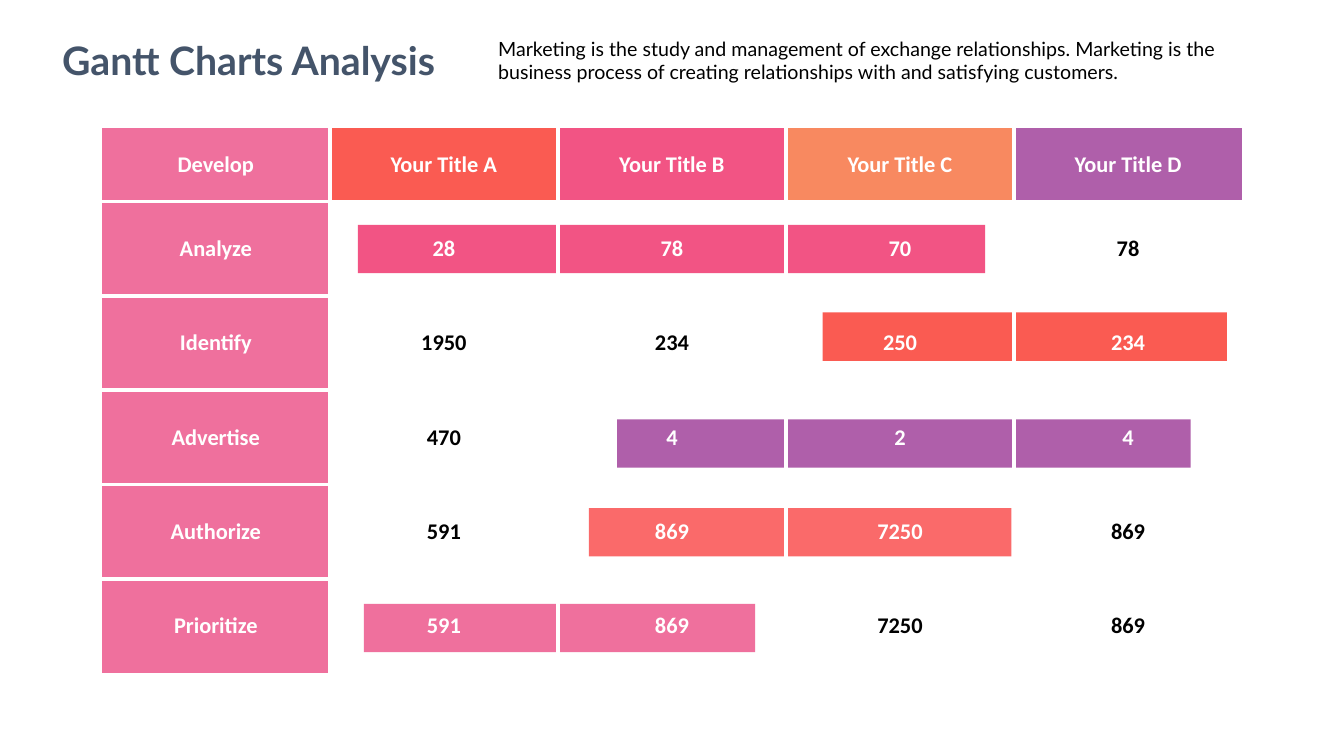
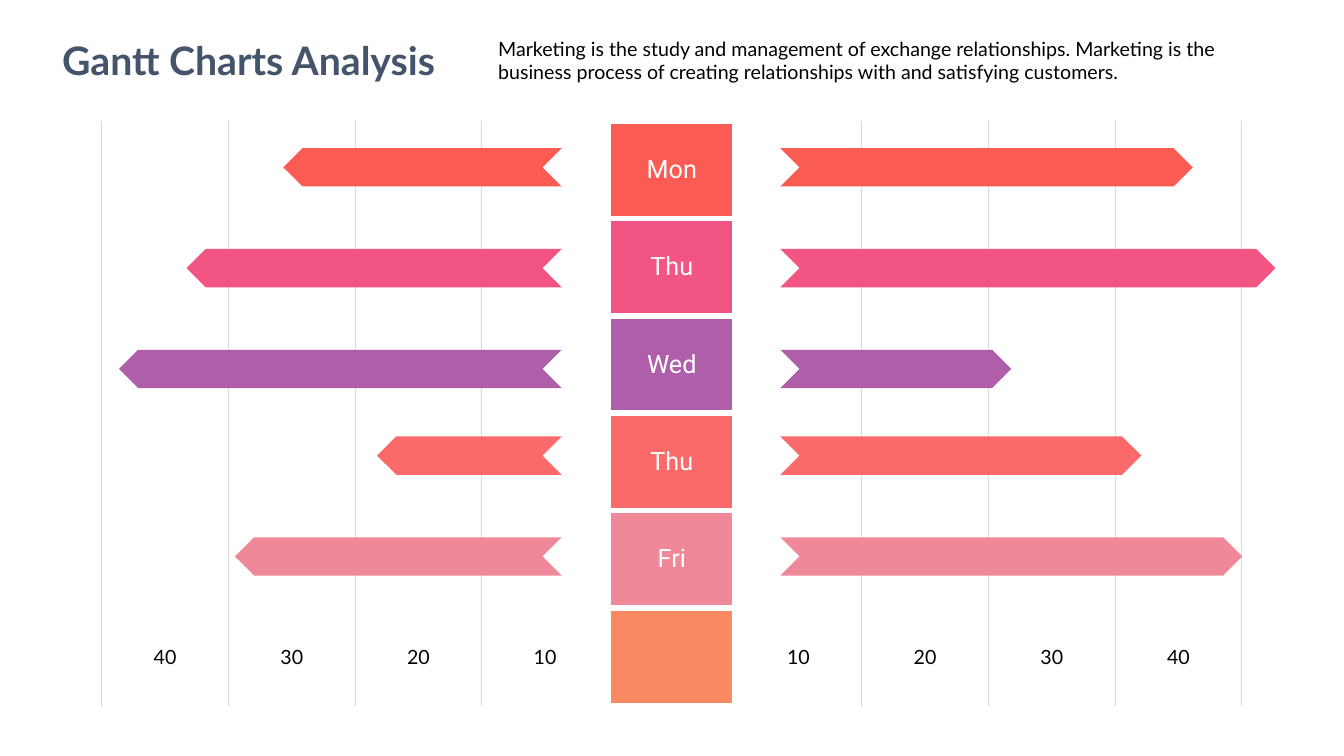
from dataclasses import dataclass

from lxml.etree import SubElement
from pptx import Presentation
from pptx.dml.color import RGBColor
from pptx.enum.shapes import MSO_SHAPE
from pptx.enum.text import MSO_ANCHOR, MSO_AUTO_SIZE, PP_ALIGN
from pptx.oxml.ns import qn
from pptx.util import Inches, Pt


@dataclass(frozen=True)
class Theme:
    navy: str = "44546A"
    black: str = "000000"
    white: str = "FFFFFF"
    gray: str = "D9D9D9"
    red: str = "FA5B52"
    magenta: str = "F25484"
    purple: str = "AF5FAA"
    coral: str = "FA6A6A"
    pink: str = "EF709D"
    rose: str = "EF8999"
    orange: str = "F88960"
    heading_font: str = "Lato"
    table_font: str = "Calibri"
    day_font: str = "Roboto"
    title_size: int = 28
    day_size: int = 18
    table_size: int = 16
    text_size: int = 14
    plain_table: str = "{2D5ABB26-0587-4C30-8999-92F81FD0307C}"


THEME = Theme()
TITLE = "Gantt Charts Analysis"
INTRO = (
    "Marketing is the study and management of exchange relationships. Marketing is the "
    "business process of creating relationships with and satisfying customers."
)


class Builder:
    def __init__(self, deck):
        self.deck = deck
        self.page = None

    def new_page(self):
        self.page = self.deck.slides.add_slide(self.deck.slide_layouts[1])
        title = self.fill_placeholder(0, 0.39, 4.15, TITLE)
        title.text_frame.word_wrap = False
        para = title.text_frame.paragraphs[0]
        para.alignment = PP_ALIGN.CENTER
        self.style(para, THEME.heading_font, THEME.title_size, THEME.navy, True)

        intro = self.fill_placeholder(1, 4.84, 7.82, INTRO)
        para = intro.text_frame.paragraphs[0]
        properties = para._p.get_or_add_pPr()
        properties.set("marL", "0")
        properties.set("indent", "0")
        SubElement(properties, qn("a:buNone"))
        para.space_before = Pt(0)
        para.alignment = PP_ALIGN.LEFT
        self.style(para, THEME.heading_font, THEME.text_size, THEME.black)

    def fill_placeholder(self, index, left, width, text):
        box = self.page.placeholders[index]
        box.left, box.top = Inches(left), Inches(0.31)
        box.width, box.height = Inches(width), Inches(0.57)
        frame = box.text_frame
        frame.text = text
        frame.auto_size = MSO_AUTO_SIZE.NONE
        frame.vertical_anchor = MSO_ANCHOR.MIDDLE
        return box

    def style(self, para, name, size, color, bold=False):
        font = para.font
        font.name, font.size, font.bold = name, Pt(size), bold
        font.color.rgb = RGBColor.from_string(color)

    def bar(self, shape_type, left, top, width, height, color):
        shape = self.page.shapes.add_shape(
            shape_type, Inches(left), Inches(top), Inches(width), Inches(height)
        )
        shape.shadow.inherit = False
        shape.fill.solid()
        shape.fill.fore_color.rgb = RGBColor.from_string(color)
        shape.line.fill.background()
        return shape

    def table(self, left, top, width, heights, columns):
        frame = self.page.shapes.add_table(
            len(heights), columns, Inches(left), Inches(top), Inches(width), Inches(sum(heights))
        )
        table = frame.table
        table.first_row = table.horz_banding = False
        table._tbl.tblPr.find(qn("a:tableStyleId")).text = THEME.plain_table
        for column in table.columns:
            column.width = Inches(width / columns)
        for row, height in zip(table.rows, heights):
            row.height = Inches(height)
        return table

    def cell(self, cell, text, name, size, color, bold=False, fill=None, borders=None):
        cell.margin_left = cell.margin_right = Inches(0.05)
        cell.margin_top = cell.margin_bottom = Inches(0.02)
        cell.vertical_anchor = MSO_ANCHOR.MIDDLE
        if text:
            cell.text = text
        para = cell.text_frame.paragraphs[0]
        para.alignment = PP_ALIGN.CENTER
        self.style(para, name, size, color, bold)
        if fill:
            cell.fill.solid()
            cell.fill.fore_color.rgb = RGBColor.from_string(fill)
        else:
            cell.fill.background()
        self.borders(cell, borders or {})

    def borders(self, cell, borders):
        properties = cell._tc.get_or_add_tcPr()
        sides = [side for side in "LRTB" if side in borders]
        for position, side in enumerate(sides):
            color, points = borders[side]
            line = SubElement(properties, qn(f"a:ln{side}"), w=str(int(Pt(points))))
            SubElement(SubElement(line, qn("a:solidFill")), qn("a:srgbClr"), val=color)
            properties.insert(position, line)


def build_task_page(builder):
    headers = [
        ("Develop", THEME.pink),
        ("Your Title A", THEME.red),
        ("Your Title B", THEME.magenta),
        ("Your Title C", THEME.orange),
        ("Your Title D", THEME.purple),
    ]
    tasks = [
        ("Analyze", ["28", "78", "70", "78"], (1, 3), 3.55, 2.23, 6.22, THEME.magenta),
        ("Identify", ["1950", "234", "250", "234"], (3, 4), 8.16, 3.1, 4.01, THEME.red),
        ("Advertise", ["470", "4", "2", "4"], (2, 4), 6.12, 4.16, 5.69, THEME.purple),
        ("Authorize", ["591", "869", "7250", "869"], (2, 3), 5.84, 5.04, 4.19, THEME.coral),
        ("Prioritize", ["591", "869", "7250", "869"], (1, 2), 3.61, 5.99, 3.88, THEME.pink),
    ]
    builder.new_page()
    rows = [[(text, THEME.white, fill) for text, fill in headers]]
    for label, values, (first, last), left, top, width, color in tasks:
        builder.bar(MSO_SHAPE.RECTANGLE, left, top, width, 0.48, color)
        row = [(label, THEME.white, THEME.pink)]
        for number, value in enumerate(values, 1):
            covered = first <= number <= last
            row.append((value, THEME.white if covered else THEME.black, None))
        rows.append(row)

    header_height, total_height = 0.73, 5.41
    task_height = (total_height - header_height) / len(tasks)
    heights = [header_height] + [task_height] * len(tasks)
    table = builder.table(1.01, 1.27, 11.31, heights, len(headers))
    gap = (THEME.white, 3)
    for row_number, row in enumerate(rows):
        for column_number, (text, color, fill) in enumerate(row):
            inner = {
                "L": column_number > 0,
                "R": column_number < len(headers) - 1,
                "T": row_number > 0,
                "B": row_number < len(tasks),
            }
            builder.cell(
                table.cell(row_number, column_number), text,
                THEME.table_font, THEME.table_size, color, True, fill,
                {side: gap for side, shown in inner.items() if shown},
            )


def build_week_page(builder):
    days = [
        ("Mon", THEME.red, 1.47, 2.76, 4.09),
        ("Thu", THEME.magenta, 2.47, 3.72, 4.91),
        ("Wed", THEME.purple, 3.47, 4.39, 2.29),
        ("Thu", THEME.coral, 4.33, 1.83, 3.58),
        ("Fri", THEME.rose, 5.33, 3.24, 4.58),
    ]
    scale = ["40", "30", "20", "10", "", "10", "20", "30", "40"]
    middle = len(scale) // 2
    labels = [(name, color) for name, color, *_ in days] + [("", THEME.orange)]
    builder.new_page()
    table = builder.table(1.01, 1.2, 11.31, [5.8 / len(labels)] * len(labels), len(scale))
    gap = (THEME.white, 4.5)
    edges = [(THEME.gray, 1)] * (len(scale) + 1)
    edges[middle] = edges[middle + 1] = gap
    for row_number, (name, color) in enumerate(labels):
        for column_number, number in enumerate(scale):
            cell = table.cell(row_number, column_number)
            borders = {"L": edges[column_number], "R": edges[column_number + 1]}
            if column_number == middle:
                borders.update(T=gap, B=gap)
                builder.cell(cell, name, THEME.day_font, THEME.day_size, THEME.white,
                             fill=color, borders=borders)
            else:
                text = number if row_number == len(days) else ""
                builder.cell(cell, text, THEME.heading_font, THEME.text_size, THEME.black,
                             fill=THEME.white, borders=borders)

    left_end, right_start, height = 5.57, 7.74, 0.38
    for _, color, top, left_length, right_length in days:
        builder.bar(MSO_SHAPE.CHEVRON, right_start, top, right_length, height, color)
        arrow = builder.bar(
            MSO_SHAPE.CHEVRON, left_end - left_length, top, left_length, height, color
        )
        arrow.rotation = 180


def main():
    deck = Presentation()
    deck.slide_width, deck.slide_height = Inches(13.33), Inches(7.5)
    builder = Builder(deck)
    build_task_page(builder)
    build_week_page(builder)
    deck.save("out.pptx")


if __name__ == "__main__":
    main()
